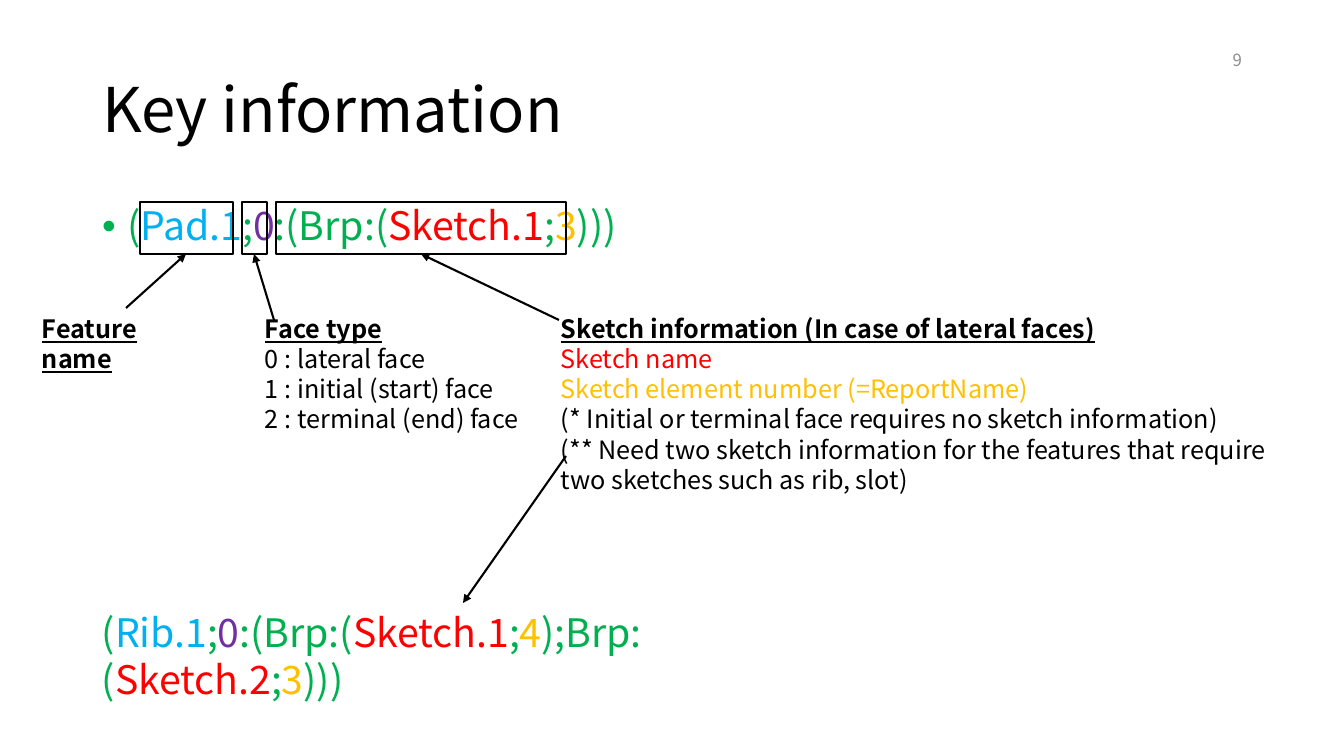
from lxml import etree
from pptx import Presentation
from pptx.dml.color import RGBColor
from pptx.enum.shapes import MSO_CONNECTOR, MSO_SHAPE
from pptx.enum.text import MSO_ANCHOR, MSO_AUTO_SIZE, PP_ALIGN
from pptx.oxml.ns import qn
from pptx.util import Emu, Pt

STRAIGHT = MSO_CONNECTOR.STRAIGHT
RECTANGLE = MSO_SHAPE.RECTANGLE
TOP, MIDDLE = MSO_ANCHOR.TOP, MSO_ANCHOR.MIDDLE
LEFT, RIGHT = PP_ALIGN.LEFT, PP_ALIGN.RIGHT
FIXED = MSO_AUTO_SIZE.NONE

BLACK = RGBColor(0x00, 0x00, 0x00)
GRAY = RGBColor(0x8C, 0x8C, 0x8C)
GREEN = RGBColor(0x00, 0xB0, 0x50)
BLUE = RGBColor(0x00, 0xB0, 0xF0)
PURPLE = RGBColor(0x70, 0x30, 0xA0)
RED = RGBColor(0xFF, 0x00, 0x00)
GOLD = RGBColor(0xFF, 0xC0, 0x00)

FONT = "Noto Sans CJK KR"
EMU_PER_PIXEL = 914400 / 100.8
HEADING = {"bold": True, "underline": True}

PAD_FORMULA = [("(", GREEN), ("Pad.1", BLUE), (";", GREEN), ("0", PURPLE),
               (":(Brp:(", GREEN), ("Sketch.1", RED), (";", GREEN),
               ("3", GOLD), (")))", GREEN)]
RIB_FORMULA = [("(", GREEN), ("Rib.1", BLUE), (";", GREEN), ("0", PURPLE),
               (":(Brp:(", GREEN), ("Sketch.1", RED), (";", GREEN),
               ("4", GOLD), (");Brp:(", GREEN), ("Sketch.2", RED),
               (";", GREEN), ("3", GOLD), (")))", GREEN)]

PARTS = [
    {"frame": (140, 202, 93, 52), "start": (126, 308),
     "note": (32, 308, 186, 40), "heading": "Feature name", "lines": []},
    {"frame": (242, 202, 25, 52), "start": (274, 320),
     "note": (255, 308, 276, 132), "heading": "Face type",
     "lines": [("0 : lateral face", BLACK),
               ("1 : initial (start) face", BLACK),
               ("2 : terminal (end) face", BLACK)]},
    {"frame": (276, 202, 290, 52), "start": (559, 320),
     "note": (551, 308, 738, 194),
     "heading": "Sketch information (In case of lateral faces)",
     "lines": [("Sketch name", RED),
               ("Sketch element number (=ReportName)", GOLD),
               ("(* Initial or terminal face requires no sketch information)", BLACK),
               ("(** Need two sketch information for the features that require\n"
                "two sketches such as rib, slot)", BLACK)]},
]


def pixels(*values):
    return [Emu(round(value * EMU_PER_PIXEL)) for value in values]


def set_values(target, values):
    for name, value in values.items():
        setattr(target, name, value)


def place(shape, box):
    set_values(shape, dict(zip(("left", "top", "width", "height"), pixels(*box))))


def add_span(para, text, size, color, **style):
    for index, line in enumerate(text.split("\n")):
        if index:
            para.add_line_break()
        span = para.add_run()
        span.text = line
        set_values(span.font, {"name": FONT, "size": Pt(size), **style})
        span.font.color.rgb = color


def add_formula(para, formula):
    for text, color in formula:
        add_span(para, text, 28, color)


def add_text(page, box, anchor=TOP):
    frame = page.shapes.add_textbox(*pixels(*box)).text_frame
    set_values(frame, {"word_wrap": True, "vertical_anchor": anchor})
    return frame


def add_arrow(page, start, end):
    arrow = page.shapes.add_connector(STRAIGHT, *pixels(*start, *end))
    arrow.line.color.rgb = BLACK
    arrow.line.width = Pt(1.5)
    etree.SubElement(arrow.line._get_or_add_ln(), qn("a:tailEnd"), type="triangle")
    etree.SubElement(arrow._element.spPr, qn("a:effectLst"))


def add_title(page, box):
    title = page.shapes.title
    place(title, box)
    set_values(title.text_frame, {"vertical_anchor": MIDDLE, "auto_size": FIXED})
    para = title.text_frame.paragraphs[0]
    set_values(para, {"alignment": LEFT, "line_spacing": 0.9})
    add_span(para, "Key information", 44, BLACK)


def add_pad_formula(page, box):
    body = page.placeholders[1]
    place(body, box)
    body.text_frame.auto_size = FIXED
    para = body.text_frame.paragraphs[0]
    set_values(para, {"line_spacing": 0.9, "space_before": Pt(10)})
    properties = para._p.get_or_add_pPr()
    properties.set("marL", "228600")
    properties.set("indent", "-228600")
    add_formula(para, PAD_FORMULA)


def add_part(page, frame, start, note, heading, lines):
    outline = page.shapes.add_shape(RECTANGLE, *pixels(*frame))
    outline.shadow.inherit = False
    outline.fill.background()
    outline.line.color.rgb = BLACK
    outline.line.width = Pt(1.5)
    left, top, width, height = frame
    add_arrow(page, start, (left + width // 2, top + height))
    text = add_text(page, note)
    add_span(text.paragraphs[0], heading, 18, BLACK, **HEADING)
    for line, color in lines:
        add_span(text.add_paragraph(), line, 18, color)


def add_rib_formula(page, box):
    left, top, width, height = box
    add_formula(add_text(page, box).paragraphs[0], RIB_FORMULA)
    add_arrow(page, (566, 456), (left + width // 2, top))


def add_page_number(page, box):
    para = add_text(page, box, MIDDLE).paragraphs[0]
    para.alignment = RIGHT
    add_span(para, "9", 12, GRAY)


def build():
    deck = Presentation()
    deck.slide_width, deck.slide_height = pixels(1344, 756)
    page = deck.slides.add_slide(deck.slide_layouts[1])
    add_title(page, (92, 40, 1160, 146))
    add_pad_formula(page, (92, 202, 1160, 480))
    for part in PARTS:
        add_part(page, **part)
    add_rib_formula(page, (92, 603, 742, 57))
    add_page_number(page, (950, 40, 302, 40))
    deck.save("out.pptx")


build()
